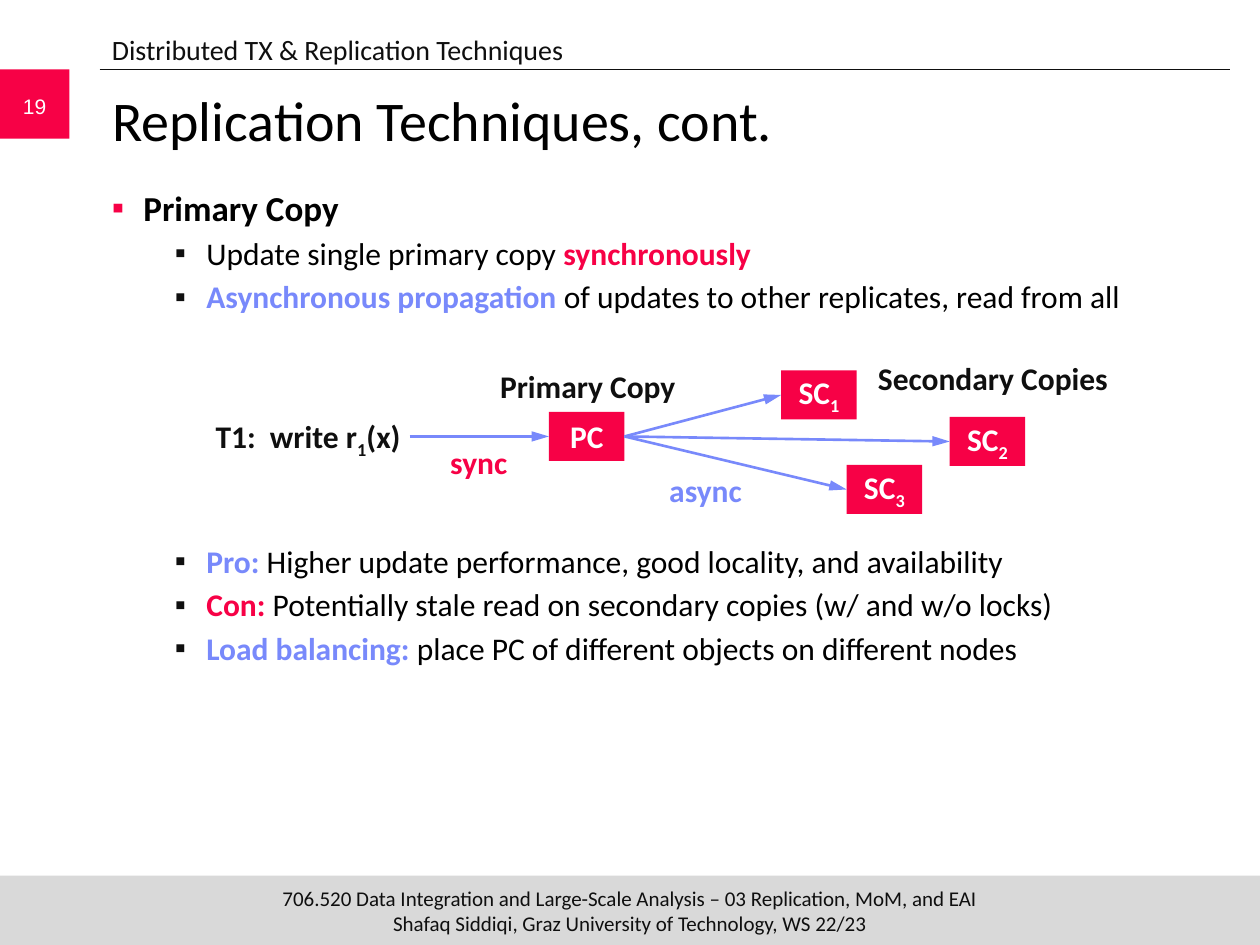
from dataclasses import dataclass

from lxml import etree
from pptx import Presentation
from pptx.dml.color import RGBColor
from pptx.enum import shapes, text
from pptx.oxml import ns
from pptx.util import Pt


@dataclass
class Theme:
    red: str = "F70146"
    blue: str = "7889FB"
    ink: str = "0F0F0F"
    black: str = "000000"
    white: str = "FFFFFF"
    grey: str = "D9D9D9"
    face: str = "Calibri"
    title: int = 32
    lead: int = 20
    main: int = 18
    head: int = 16
    small: int = 12


LEFT, MID = text.PP_ALIGN.LEFT, text.PP_ALIGN.CENTER
TOP, CENTER = text.MSO_ANCHOR.TOP, text.MSO_ANCHOR.MIDDLE
PAD = (7.2, 3.6)


def sub(root, tag, **vals):
    node = etree.SubElement(root, ns.qn(tag))
    for key, val in vals.items():
        node.set(key, val)
    return node


def assign(obj, vals):
    for key, val in vals.items():
        setattr(obj, key, val)


class Painter:
    def __init__(self, slide, theme):
        self.slide, self.theme = slide, theme

    def run(self, para, words, size, color, bold=False, base=0, face=None):
        run = para.add_run()
        run.text = words
        assign(run.font, {"name": face or self.theme.face, "size": Pt(size), "bold": bold})
        run.font.color.rgb = RGBColor.from_string(color)
        if base:
            run._r.get_or_add_rPr().set("baseline", str(base * 1000))

    def frame(self, shape, pad=PAD, anchor=TOP, align=LEFT):
        tf = shape.text_frame
        x, y = map(Pt, pad)
        assign(tf, {"word_wrap": True, "auto_size": text.MSO_AUTO_SIZE.NONE,
                    "vertical_anchor": anchor, "margin_left": x, "margin_right": x,
                    "margin_top": y, "margin_bottom": y})
        tf.paragraphs[0].alignment = align
        return tf

    def title(self, words, box):
        shape = self.slide.shapes.title
        assign(shape, dict(zip(("left", "top", "width", "height"), map(Pt, box))))
        para = self.frame(shape).paragraphs[0]
        self.run(para, words, self.theme.title, self.theme.black)

    def rect(self, box, fill):
        shape = self.slide.shapes.add_shape(shapes.MSO_SHAPE.RECTANGLE, *map(Pt, box))
        shape.shadow.inherit = False
        shape.fill.solid()
        shape.fill.fore_color.rgb = RGBColor.from_string(fill)
        shape.line.fill.background()
        return shape

    def label(self, box, lines, size, color, face=None, **form):
        shape = self.slide.shapes.add_textbox(*map(Pt, box))
        para = self.frame(shape, **form).paragraphs[0]
        for i, line in enumerate(lines):
            if i:
                para.add_line_break()
            self.run(para, line, size, color, face=face)

    def tag(self, box, parts, color):
        """Bold caption; each part is (words, baseline shift)."""
        shape = self.slide.shapes.add_textbox(*map(Pt, box))
        para = self.frame(shape, pad=(0, 3.6), align=MID).paragraphs[0]
        for words, base in parts:
            self.run(para, words, self.theme.main, color, True, base)
        return shape

    def node(self, x, y, name, index=""):
        shape = self.rect((x, y, 43.2, 28), self.theme.red)
        para = self.frame(shape, anchor=CENTER, align=MID).paragraphs[0]
        self.run(para, name, self.theme.main, self.theme.white, True)
        if index:
            self.run(para, index, self.theme.main, self.theme.white, True, -25)
        return shape

    def line(self, ends, color, width):
        con = self.slide.shapes.add_connector(shapes.MSO_CONNECTOR.STRAIGHT, *map(Pt, ends))
        con.line.color.rgb = RGBColor.from_string(color)
        con.line.width = Pt(width)
        sub(con.element.spPr, "a:effectLst")
        return con

    def arrow(self, start, end):
        con = self.line((0, 0, 0, 0), self.theme.blue, 1.5)
        con.begin_connect(start, 3)
        con.end_connect(end, 1)
        sub(con.element.spPr.find(ns.qn("a:ln")), "a:tailEnd", type="triangle", w="med", len="lg")

    def bullets(self, box, items):
        """Each item is (level, space before, bullet colour, parts)."""
        tf = self.frame(self.slide.shapes.add_textbox(*map(Pt, box)))
        for i, (level, gap, mark, parts) in enumerate(items):
            para = tf.add_paragraph() if i else tf.paragraphs[0]
            assign(para, {"level": level, "space_before": Pt(gap), "alignment": LEFT})
            prop = para._p.get_or_add_pPr()
            prop.set("marL", str(Pt(18 + 36 * level)))
            prop.set("indent", str(Pt(-18)))
            sub(sub(prop, "a:buClr"), "a:srgbClr", val=mark)
            sub(prop, "a:buFont", typeface="Arial")
            sub(prop, "a:buChar", char="▪")
            size = self.theme.main if level else self.theme.lead
            for words, color, bold in parts:
                self.run(para, words, size, color, bold)


def main():
    deck = Presentation()
    assign(deck, {"slide_width": Pt(720), "slide_height": Pt(540)})
    t = Theme()
    p = Painter(deck.slides.add_slide(deck.slide_layouts[5]), t)

    # Footer, header and page number
    foot = (0, 500.4, 720, 39.6)
    p.rect(foot, t.grey)
    p.label(foot, ["706.520 Data Integration and Large-Scale Analysis – 03 Replication, MoM, and EAI",
                   "Shafaq Siddiqi, Graz University of Technology, WS 22/23"],
            t.small, t.ink, pad=(0, 0), anchor=CENTER, align=MID)
    p.line((56.9, 39.6, 702.7, 39.6), t.ink, 0.5)
    p.rect((0, 39.6, 39.6, 39.6), t.red)
    p.label((0, 46.1, 39.6, 28.8), ["19"], t.small, t.white, "Arial", anchor=CENTER, align=MID)
    p.label((56.9, 15.1, 648, 25.9), ["Distributed TX & Replication Techniques"], t.head, t.ink)
    p.title("Replication Techniques, cont.", (56.9, 45.4, 645.1, 59.8))

    # Bullets, with a gap for the diagram before "Pro"
    gap, room = 3.2, 129.5
    p.bullets((56.9, 103, 645.1, 388.8), [
        (0, 0, t.red, [("Primary Copy", t.black, True)]),
        (1, gap, t.ink, [("Update single primary copy ", t.black, False),
                         ("synchronously", t.red, True)]),
        (1, gap, t.ink, [("Asynchronous propagation", t.blue, True),
                         (" of updates to other replicates, read from all", t.black, False)]),
        (1, room, t.ink, [("Pro: ", t.blue, True),
                          ("Higher update performance, good locality, and availability",
                           t.black, False)]),
        (1, gap, t.ink, [("Con:", t.red, True),
                         (" Potentially stale read on secondary copies (w/ and w/o locks)",
                          t.black, False)]),
        (1, gap, t.ink, [("Load balancing:", t.blue, True),
                         (" place PC of different objects on different nodes",
                          t.black, False)]),
    ])

    # Diagram: write to the primary, then spread to the secondaries
    write = p.tag((118.1, 234.9, 115.9, 29), [("T1:  write r", 0), ("1", -25), ("(x)", 0)], t.ink)
    prime = p.node(313.7, 235.4, "PC")
    p.arrow(write, prime)
    for i, (x, y) in enumerate([(446.4, 211.7), (542.7, 238.3), (483.8, 265.7)], 1):
        p.arrow(prime, p.node(x, y, "SC", str(i)))

    # Captions
    for x, y, width, words, color in [
        (252, 249.8, 43.2, "sync", t.red),
        (381.6, 265.7, 43.2, "async", t.blue),
        (272.2, 205.9, 127.4, "Primary Copy", t.ink),
        (491.8, 201.6, 151.2, "Secondary Copies", t.ink),
    ]:
        p.tag((x, y, width, 29), [(words, 0)], color)

    deck.save("out.pptx")


if __name__ == "__main__":
    main()
